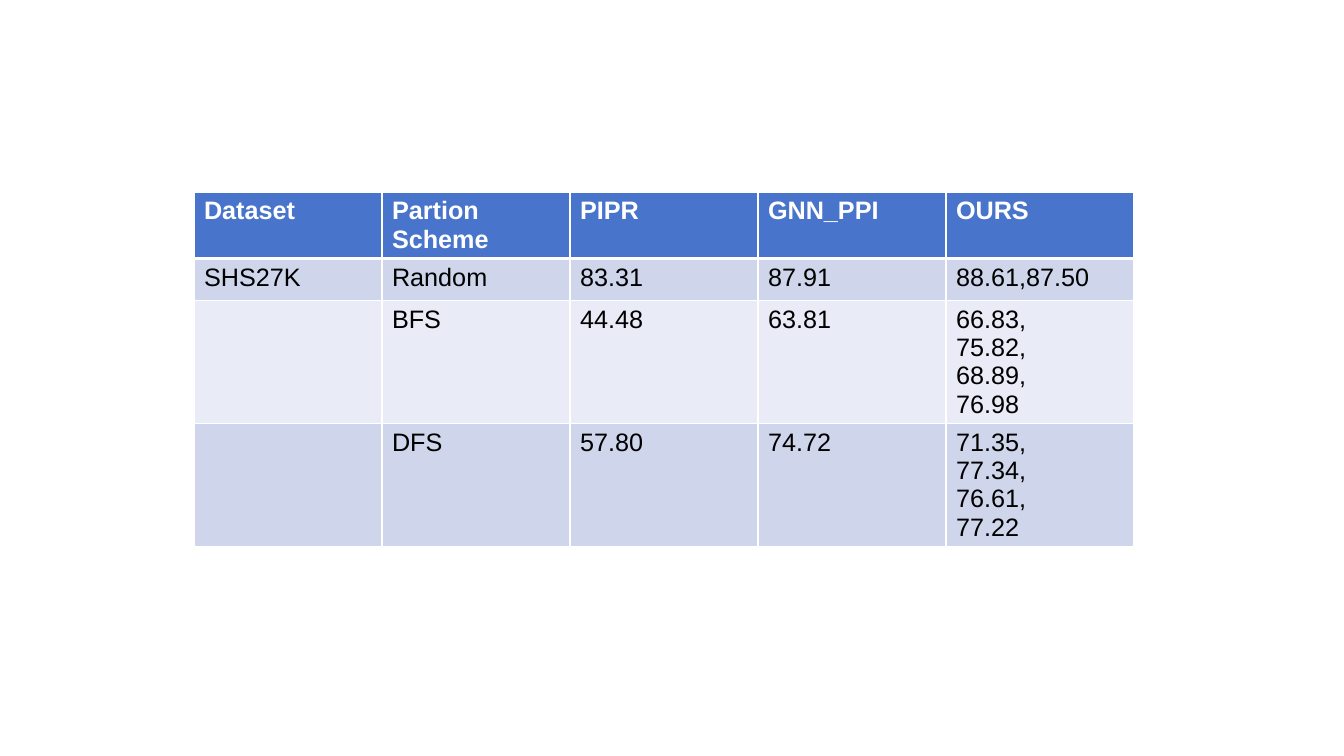
from lxml import etree
from pptx import Presentation
from pptx import util as u
from pptx.dml.color import RGBColor
from pptx.oxml.ns import qn

# Content: one tuple per row, a line break starts a new paragraph
ROWS = [
    ("Dataset", "Partion Scheme", "PIPR", "GNN_PPI", "OURS"),
    ("SHS27K", "Random", "83.31", "87.91", "88.61,87.50"),
    ("", "BFS", "44.48", "63.81", "66.83,\n75.82,\n68.89,\n76.98"),
    ("", "DFS", "57.80", "74.72", "71.35,\n77.34,\n76.61,\n77.22"),
]
ROW_HEIGHTS = [66, 42, 123, 123]
COLUMN_WIDTH = 188
LEFT, TOP = 194, 192
SLIDE_WIDTH, SLIDE_HEIGHT = 1344, 756

HEADER_FILL, BAND_FILLS = "4874CB", ("E9EBF6", "CFD6EC")
WHITE, BLACK = "FFFFFF", "000000"
THIN, THICK = 1, 3


def px(length):
    return u.Emu(length * 12192000 // SLIDE_WIDTH)


def color(value):
    return RGBColor.from_string(value)


def set_borders(cell, top, bottom):
    properties = cell._tc.get_or_add_tcPr()
    for side, width in (("L", THIN), ("R", THIN), ("T", top), ("B", bottom)):
        line = etree.SubElement(properties, qn(f"a:ln{side}"), w=str(u.Pt(width)))
        fill = etree.SubElement(line, qn("a:solidFill"))
        etree.SubElement(fill, qn("a:srgbClr"), val=WHITE)


def fill_cell(cell, content, row_index):
    is_header = row_index == 0
    # Borders come before the fill in the cell properties
    set_borders(cell, THICK if row_index == 1 else THIN, THICK if is_header else THIN)
    cell.fill.solid()
    cell.fill.fore_color.rgb = color(HEADER_FILL if is_header else BAND_FILLS[row_index % 2])
    cell.text_frame.text = content
    for paragraph in cell.text_frame.paragraphs:
        font = paragraph.font
        font.size = u.Pt(18)
        for run in paragraph.runs:
            run.font.name = "Arial"
            run.font.size = u.Pt(18)
            run.font.bold = is_header
            run.font.color.rgb = color(WHITE if is_header else BLACK)


def main():
    presentation = Presentation()
    presentation.slide_width = px(SLIDE_WIDTH)
    presentation.slide_height = px(SLIDE_HEIGHT)
    slide = presentation.slides.add_slide(presentation.slide_layouts[6])

    # Results table
    column_count = len(ROWS[0])
    table = slide.shapes.add_table(
        len(ROWS), column_count, px(LEFT), px(TOP),
        px(COLUMN_WIDTH * column_count), px(sum(ROW_HEIGHTS))).table
    for column in table.columns:
        column.width = px(COLUMN_WIDTH)
    for row_index, (row, height) in enumerate(zip(ROWS, ROW_HEIGHTS)):
        table.rows[row_index].height = px(height)
        for column_index, content in enumerate(row):
            fill_cell(table.cell(row_index, column_index), content, row_index)

    presentation.save("out.pptx")


if __name__ == "__main__":
    main()
